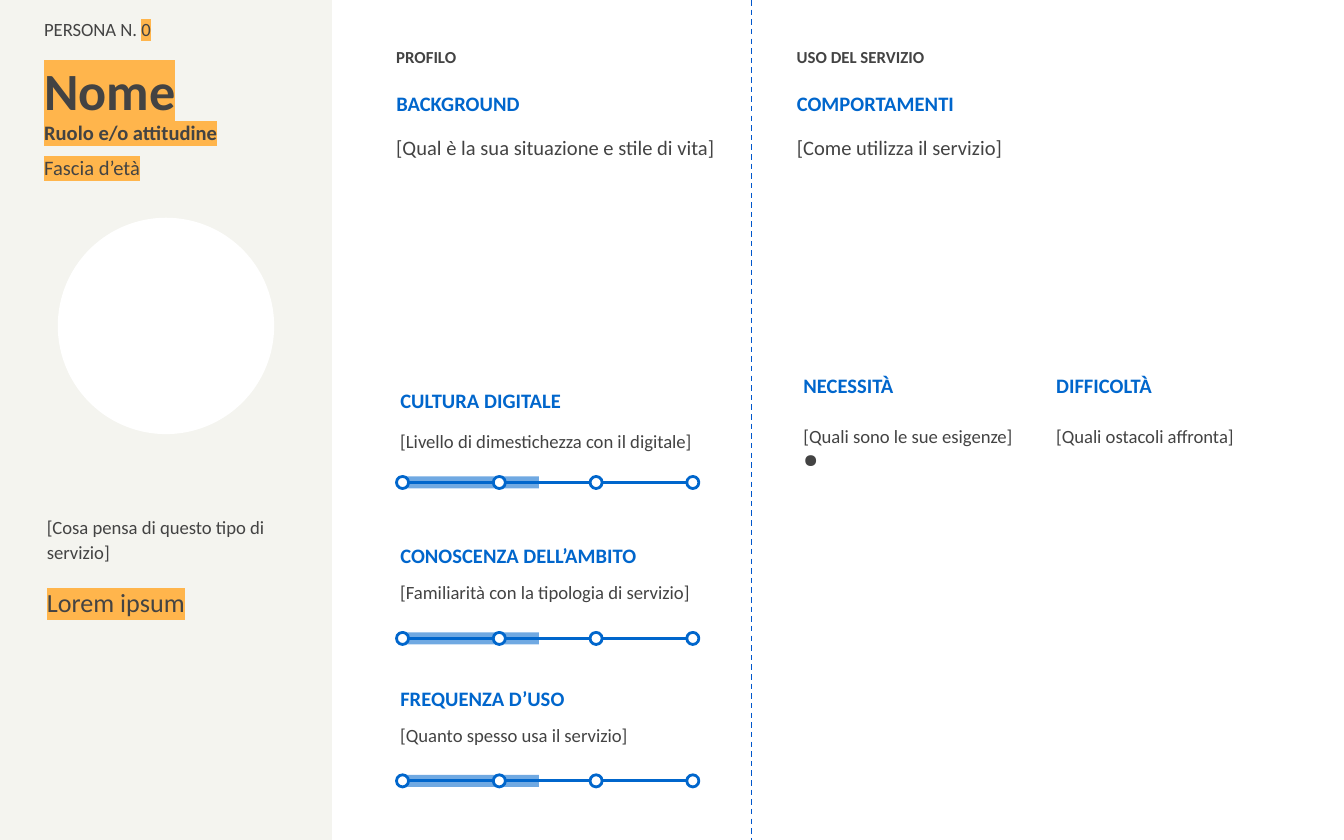
from lxml import etree
from pptx import Presentation
from pptx.dml.color import RGBColor
from pptx.enum.dml import MSO_LINE
from pptx.enum.shapes import MSO_CONNECTOR, MSO_SHAPE
from pptx.enum.text import MSO_ANCHOR
from pptx.oxml.ns import qn
from pptx.util import Inches, Pt

RECTANGLE = MSO_SHAPE.RECTANGLE
OVAL = MSO_SHAPE.OVAL
STRAIGHT = MSO_CONNECTOR.STRAIGHT
DASH = MSO_LINE.DASH
TOP = MSO_ANCHOR.TOP
MIDDLE = MSO_ANCHOR.MIDDLE

FONT = "Calibri"
TEXT = "434343"
BLUE = "0066CC"
DIVIDER = "0056CB"
ORANGE = "FFB54C"
WHITE = "FFFFFF"
PANEL = "F4F4EF"


def color(value):
    return RGBColor.from_string(value)


class PersonaSlide:
    """Holds the persona style and draws elements on the current slide."""

    def __init__(self, slide):
        self.slide = slide

    def shape(self, kind, left, top, width, height, fill, line=None, opacity=None):
        shape = self.slide.shapes.add_shape(
            kind, Inches(left), Inches(top), Inches(width), Inches(height))
        shape.shadow.inherit = False
        shape.fill.solid()
        shape.fill.fore_color.rgb = color(fill)
        if opacity is not None:
            fill_element = shape.element.spPr.find(qn("a:solidFill"))
            etree.SubElement(fill_element[0], qn("a:alpha"), val=str(opacity * 1000))
        if line:
            shape.line.color.rgb = color(line)
            shape.line.width = Pt(1.5)
        else:
            shape.line.fill.background()

    def line(self, start, end, line_color, width, dash=None):
        connector = self.slide.shapes.add_connector(
            STRAIGHT, *(Inches(value) for value in (*start, *end)))
        connector.line.color.rgb = color(line_color)
        connector.line.width = Pt(width)
        if dash:
            connector.line.dash_style = dash
        etree.SubElement(connector.element.spPr, qn("a:effectLst"))

    def format_run(self, run, size, font_color=TEXT, bold=False, highlight=None):
        run.font.size = Pt(size)
        run.font.bold = bold
        run.font.name = FONT
        run.font.color.rgb = color(font_color)
        if highlight:
            mark = etree.Element(qn("a:highlight"))
            etree.SubElement(mark, qn("a:srgbClr"), val=highlight)
            run.font._element.find(qn("a:solidFill")).addnext(mark)

    def text(self, left, top, width, height, text, size, font_color=TEXT, bold=False,
             highlight=None, spacing=None, anchor=TOP):
        box = self.slide.shapes.add_textbox(
            Inches(left), Inches(top), Inches(width), Inches(height))
        frame = box.text_frame
        frame.word_wrap = True
        frame.vertical_anchor = anchor
        frame.margin_left = frame.margin_right = Inches(0.1)
        frame.margin_top = frame.margin_bottom = Inches(0.1)
        frame.text = text
        paragraph = frame.paragraphs[0]
        if spacing:
            paragraph.line_spacing = spacing
        self.format_run(paragraph.runs[0], size, font_color, bold, highlight)
        return frame

    def heading(self, left, top, width, text, height=0.34):
        self.text(left, top, width, height, text, 11, BLUE, True, anchor=MIDDLE)

    def section(self, left, title, heading, body, body_width):
        self.text(left, 0.27, 1.54, 0.31, title, 9, bold=True, anchor=MIDDLE)
        self.heading(left, 0.6, 2.68, heading)
        self.text(left, 0.88, body_width, 0.34, body, 11, spacing=1.15)

    def list_column(self, left, heading, body):
        self.heading(left, 2.7, 1.73, heading)
        return self.text(left, 3.04, 1.83, 2.5, body, 10, spacing=1.15)

    def bullet(self, frame):
        paragraph = frame.add_paragraph()
        paragraph.text = " "
        properties = paragraph._p.get_or_add_pPr()
        properties.set("marL", str(Inches(0.11)))
        properties.set("indent", str(-Inches(0.11)))
        bullet_color = etree.SubElement(properties, qn("a:buClr"))
        etree.SubElement(bullet_color, qn("a:srgbClr"), val=TEXT)
        etree.SubElement(properties, qn("a:buChar"), char="●")
        paragraph.line_spacing = 1.15
        paragraph.space_after = Pt(10)
        self.format_run(paragraph.runs[0], 10, bold=True)

    def scale(self, center, heading, body, spacing):
        dot = 0.09
        top = center - dot / 2
        self.line((3.04, center), (5.2, center), BLUE, 1.5)
        self.shape(RECTANGLE, 3, top, 1.01, dot, BLUE, opacity=56)
        for index in range(4):
            self.shape(OVAL, 2.95 + index * 0.72, top, dot, dot, WHITE, BLUE)
        self.heading(2.88, center - 0.77, 2.48, heading, 0.31)
        self.text(2.88, center - 0.51, 2.77, 0.34, body, 10, spacing=spacing)


def main():
    presentation = Presentation()
    presentation.slide_width = Inches(10)
    presentation.slide_height = Inches(6.25)
    persona = PersonaSlide(presentation.slides.add_slide(presentation.slide_layouts[6]))

    persona.shape(RECTANGLE, 0, 0, 2.47, 6.25, PANEL)
    number = persona.text(0.23, 0.01, 2.24, 0.29, "PERSONA N. ", 10, spacing=1.15)
    digit = number.paragraphs[0].add_run()
    digit.text = "0"
    persona.format_run(digit, 10, highlight=ORANGE)
    persona.text(0.23, 0.46, 2.09, 0.41, "Nome", 28, bold=True,
                 highlight=ORANGE, anchor=MIDDLE)
    persona.text(0.23, 0.8, 2.19, 0.34, "Ruolo e/o attitudine", 11, bold=True,
                 highlight=ORANGE)
    persona.text(0.23, 1.06, 2.19, 0.34, "Fascia d’età", 11, highlight=ORANGE)
    persona.shape(OVAL, 0.43, 1.62, 1.61, 1.61, WHITE)
    opinion = persona.text(0.25, 3.71, 2.09, 1.52,
                           "[Cosa pensa di questo tipo di servizio]", 10, spacing=1.15)
    quote = opinion.add_paragraph()
    quote.text = "Lorem ipsum"
    quote.space_before = Pt(12.2)
    persona.format_run(quote.runs[0], 14, highlight=ORANGE)

    persona.section(2.85, "PROFILO", "BACKGROUND",
                    "[Qual è la sua situazione e stile di vita]", 2.57)
    persona.section(5.83, "USO DEL SERVIZIO", "COMPORTAMENTI",
                    "[Come utilizza il servizio]", 3.71)
    persona.line((5.59, 0), (5.59, 6.25), DIVIDER, 0.75, DASH)

    needs = persona.list_column(5.88, "NECESSITÀ", "[Quali sono le sue esigenze]")
    persona.bullet(needs)
    persona.list_column(7.76, "DIFFICOLTÀ", "[Quali ostacoli affronta]")

    scales = (
        (3.59, "CULTURA DIGITALE", "[Livello di dimestichezza con il digitale]", 1.15),
        (4.75, "CONOSCENZA DELL’AMBITO", "[Familiarità con la tipologia di servizio]", None),
        (5.81, "FREQUENZA D’USO", "[Quanto spesso usa il servizio]", None),
    )
    for center, heading, body, spacing in scales:
        persona.scale(center, heading, body, spacing)

    presentation.save("out.pptx")


if __name__ == "__main__":
    main()
